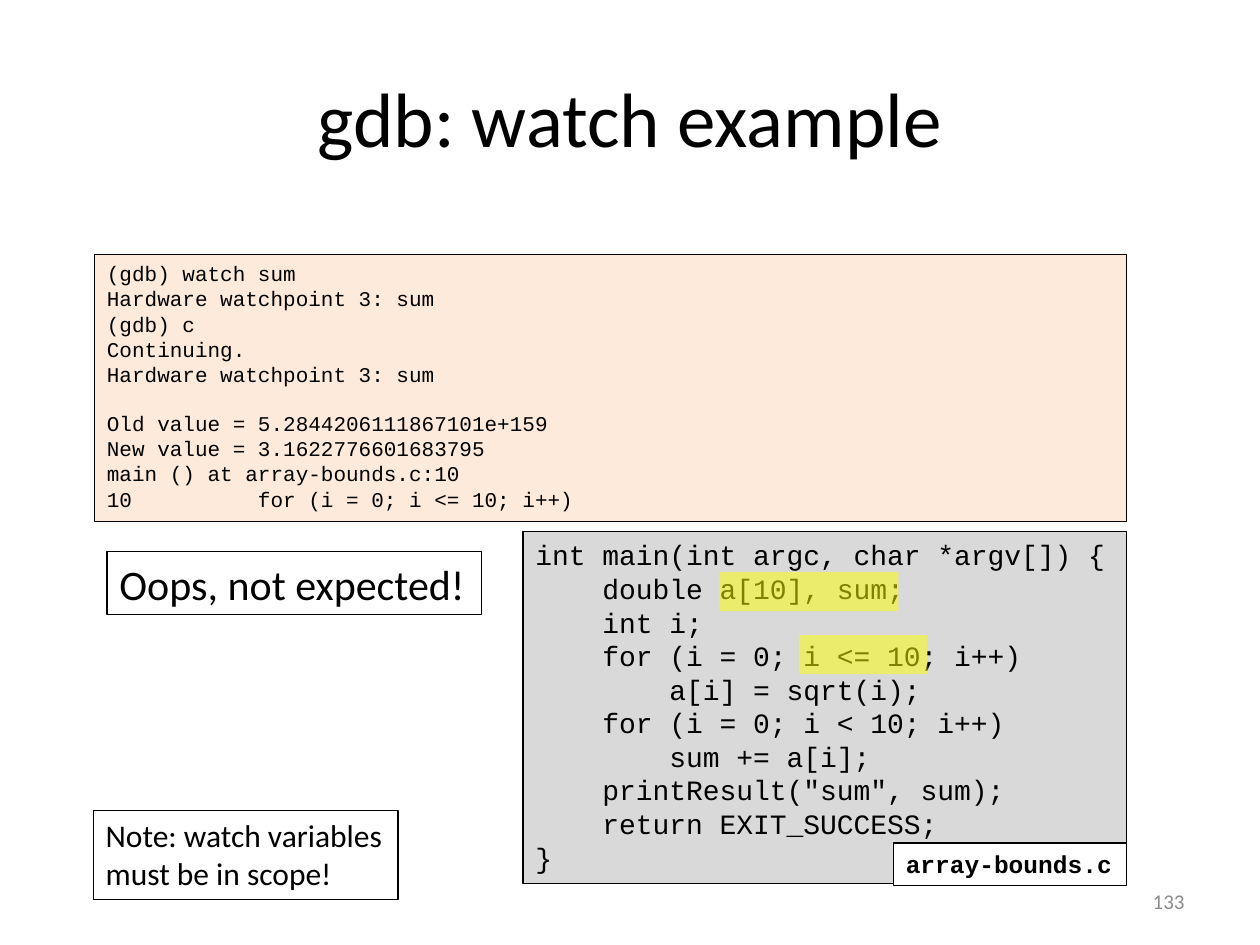
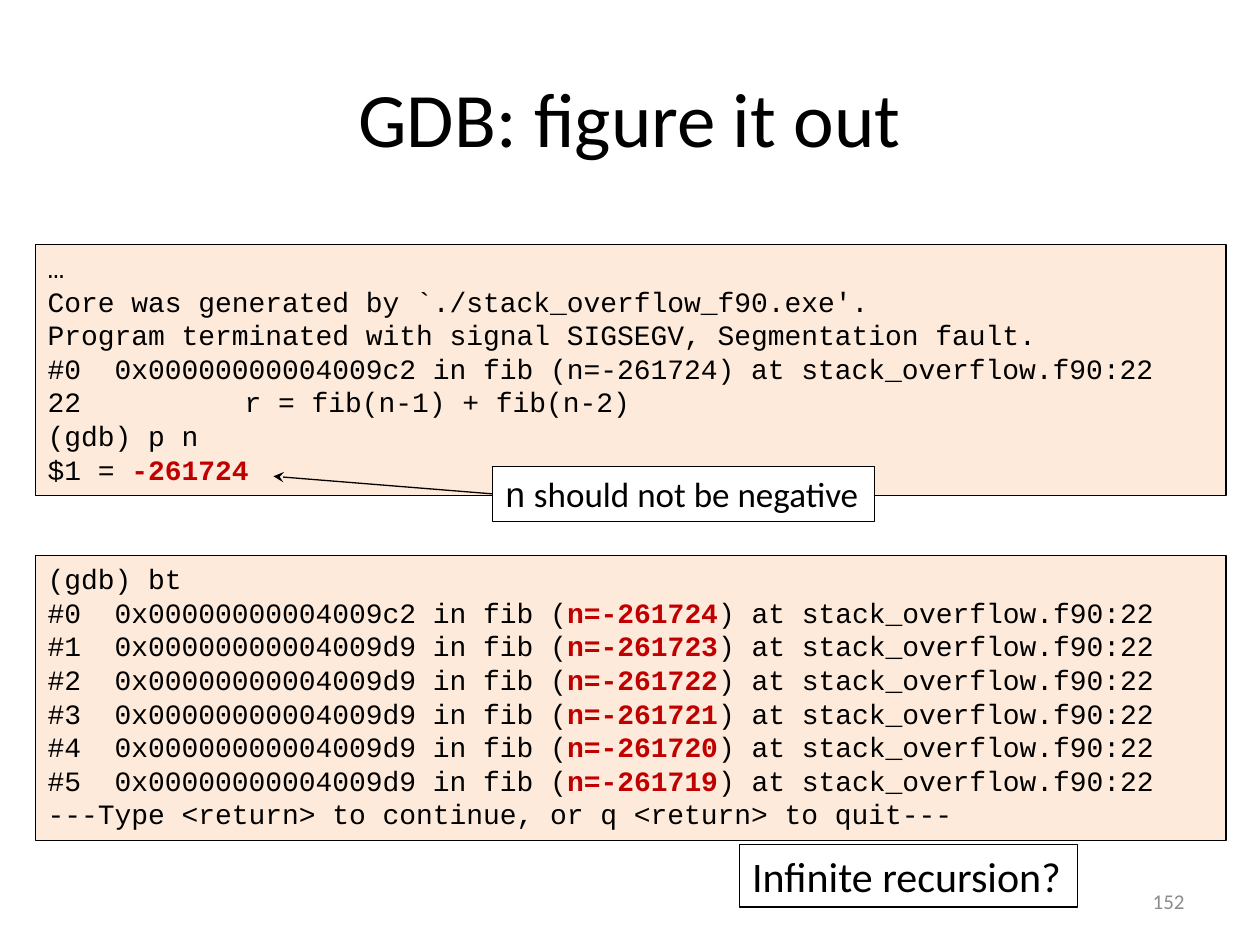
from lxml.etree import SubElement
from pptx import Presentation
from pptx.dml.color import RGBColor
from pptx.enum.shapes import MSO_CONNECTOR, MSO_SHAPE
from pptx.enum.text import MSO_ANCHOR, MSO_AUTO_SIZE, PP_ALIGN
from pptx.oxml.ns import qn
from pptx.util import Inches, Pt

# Shared look
BLACK, WHITE, RED, GRAY = "000000", "FFFFFF", "C00000", "8C8C8C"
CONSOLE, LISTING, MARKER = "FDEADA", "D9D9D9", "FFFF00"
BODY, CODE = "Calibri", "Courier New"
LINE_HEIGHT = 1.133  # of Courier New, relative to the text size
TITLE_AREA = (0.5, 0.3, 9, 1.25)
NUMBER_AREA = (7.17, 6.95, 2.33, 0.4)
ALERT = {"bold": True, "color": RED}

# Slide content: a line is a string or a list of (text, format) spans
WATCH_SESSION = [
    "(gdb) watch sum",
    "Hardware watchpoint 3: sum",
    "(gdb) c",
    "Continuing.",
    "Hardware watchpoint 3: sum",
    "",
    "Old value = 5.2844206111867101e+159",
    "New value = 3.1622776601683795",
    "main () at array-bounds.c:10",
    "10          for (i = 0; i <= 10; i++)",
]
ARRAY_PROGRAM = [
    "int main(int argc, char *argv[]) {",
    "    double a[10], sum;",
    "    int i;",
    "    for (i = 0; i <= 10; i++)",
    "        a[i] = sqrt(i);",
    "    for (i = 0; i < 10; i++)",
    "        sum += a[i];",
    "    printResult(\"sum\", sum);",
    "    return EXIT_SUCCESS;",
    "}",
]
BUG_MARKERS = [(5.71, 4.54, 1.42, 0.31), (6.34, 5.04, 1.02, 0.31)]
CORE_SESSION = [
    "…",
    "Core was generated by `./stack_overflow_f90.exe'.",
    "Program terminated with signal SIGSEGV, Segmentation fault.",
    "#0  0x00000000004009c2 in fib (n=-261724) at stack_overflow.f90:22",
    "22\t        r = fib(n-1) + fib(n-2)",
    "(gdb) p n",
    [("$1 = ", {}), ("-261724", ALERT)],
]
FRAME_ADDRESSES = ["9c2"] + ["9d9"] * 5
BACKTRACE = [
    "(gdb) bt",
    *[
        [
            (f"#{level}  0x0000000000400{address} in fib (", {}),
            (f"n={level - 261724}", ALERT),
            (") at stack_overflow.f90:22", {}),
        ]
        for level, address in enumerate(FRAME_ADDRESSES)
    ],
    "---Type <return> to continue, or q <return> to quit---",
]


def color(value):
    return RGBColor.from_string(value)


def write_span(para, text, formats):
    span = para.add_run()
    span.text = text
    for name, value in formats.items():
        if name == "color":
            span.font.color.rgb = color(value)
        else:
            setattr(span.font, name, value)


def add_text(page, area, lines, size, font=BODY, ink=BLACK,
             align=PP_ALIGN.LEFT, wrap=True):
    """Write lines in a box; an empty line becomes space before the next."""
    box = page.shapes.add_textbox(*map(Inches, area))
    frame = box.text_frame
    frame.word_wrap = wrap
    base = {"size": Pt(size), "name": font, "color": ink}
    para, gap = frame.paragraphs[0], 0
    for index, line in enumerate(lines):
        if not line:
            gap += size * LINE_HEIGHT
            continue
        if index:
            para = frame.add_paragraph()
        para.alignment = align
        if gap:
            para.space_before, gap = Pt(gap), 0
        spans = [(line, {})] if isinstance(line, str) else line
        for text, formats in spans:
            write_span(para, text, {**base, **formats})
    return box


def add_panel(page, area, lines, size, font=BODY, fill=WHITE, wrap=False):
    """A framed box that fits its text."""
    box = add_text(page, area, lines, size, font, wrap=wrap)
    box.text_frame.auto_size = MSO_AUTO_SIZE.SHAPE_TO_FIT_TEXT
    box.fill.solid()
    box.fill.fore_color.rgb = color(fill)
    box.line.color.rgb = color(BLACK)
    box.line.width = Pt(0.75)
    return box


def add_console(page, area, lines, size):
    return add_panel(page, area, lines, size, CODE, CONSOLE, wrap=True)


def add_marker(page, area):
    marker = page.shapes.add_shape(MSO_SHAPE.RECTANGLE, *map(Inches, area))
    marker.shadow.inherit = False
    marker.line.fill.background()
    marker.fill.solid()
    marker.fill.fore_color.rgb = color(MARKER)
    tint = marker.fill._xPr.find(".//" + qn("a:srgbClr"))
    SubElement(tint, qn("a:alpha"), val="50000")


def add_pointer(page, label, tip):
    """An arrow from the left side of a label to a point."""
    end = tuple(map(Inches, tip))
    pointer = page.shapes.add_connector(MSO_CONNECTOR.STRAIGHT, *end, *end)
    pointer.begin_connect(label, 1)
    pointer.line.color.rgb = color(BLACK)
    pointer.line.width = Pt(0.75)
    SubElement(pointer.line._get_or_add_ln(), qn("a:tailEnd"), type="stealth")
    SubElement(pointer._element.spPr, qn("a:effectLst"))


def add_page(deck, title, number):
    page = deck.slides.add_slide(deck.slide_layouts[6])
    heading = add_text(page, TITLE_AREA, [title], 44, align=PP_ALIGN.CENTER)
    footer = add_text(page, NUMBER_AREA, [number], 12, ink=GRAY,
                      align=PP_ALIGN.RIGHT)
    for box in (heading, footer):
        box.text_frame.vertical_anchor = MSO_ANCHOR.MIDDLE
    return page


def build_watch_page(deck):
    page = add_page(deck, "gdb: watch example", "133")
    add_console(page, (0.75, 2.02, 8.19, 2.12), WATCH_SESSION, 12)
    add_panel(page, (0.85, 4.38, 2.97, 0.5), ["Oops, not expected!"], 24)

    # Program with its file name and the two faulty spots
    add_panel(page, (4.15, 4.22, 4.79, 2.79), ARRAY_PROGRAM, 16, CODE, LISTING)
    file_name = [("array-bounds.c", {"bold": True})]
    add_panel(page, (7.09, 6.69, 1.85, 0.34), [file_name], 14, CODE)
    for area in BUG_MARKERS:
        add_marker(page, area)

    note = ["Note: watch variables", "must be in scope!"]
    add_panel(page, (0.74, 6.43, 2.42, 0.71), note, 18)


def build_recursion_page(deck):
    page = add_page(deck, "GDB: figure it out", "152")
    add_console(page, (0.28, 1.94, 9.45, 1.99), CORE_SESSION, 16)

    # Remark on the printed value
    remark = [("n", {"name": CODE}), (" should not be negative", {})]
    label = add_panel(page, (3.91, 3.7, 3.03, 0.44), [remark], 20)
    add_pointer(page, label, (2.17, 3.78))

    add_console(page, (0.28, 4.41, 9.45, 2.26), BACKTRACE, 16)
    add_panel(page, (5.87, 6.7, 2.68, 0.5), ["Infinite recursion?"], 24)


def main():
    deck = Presentation()
    deck.slide_width, deck.slide_height = Inches(10), Inches(7.5)
    build_watch_page(deck)
    build_recursion_page(deck)
    deck.save("out.pptx")


if __name__ == "__main__":
    main()
